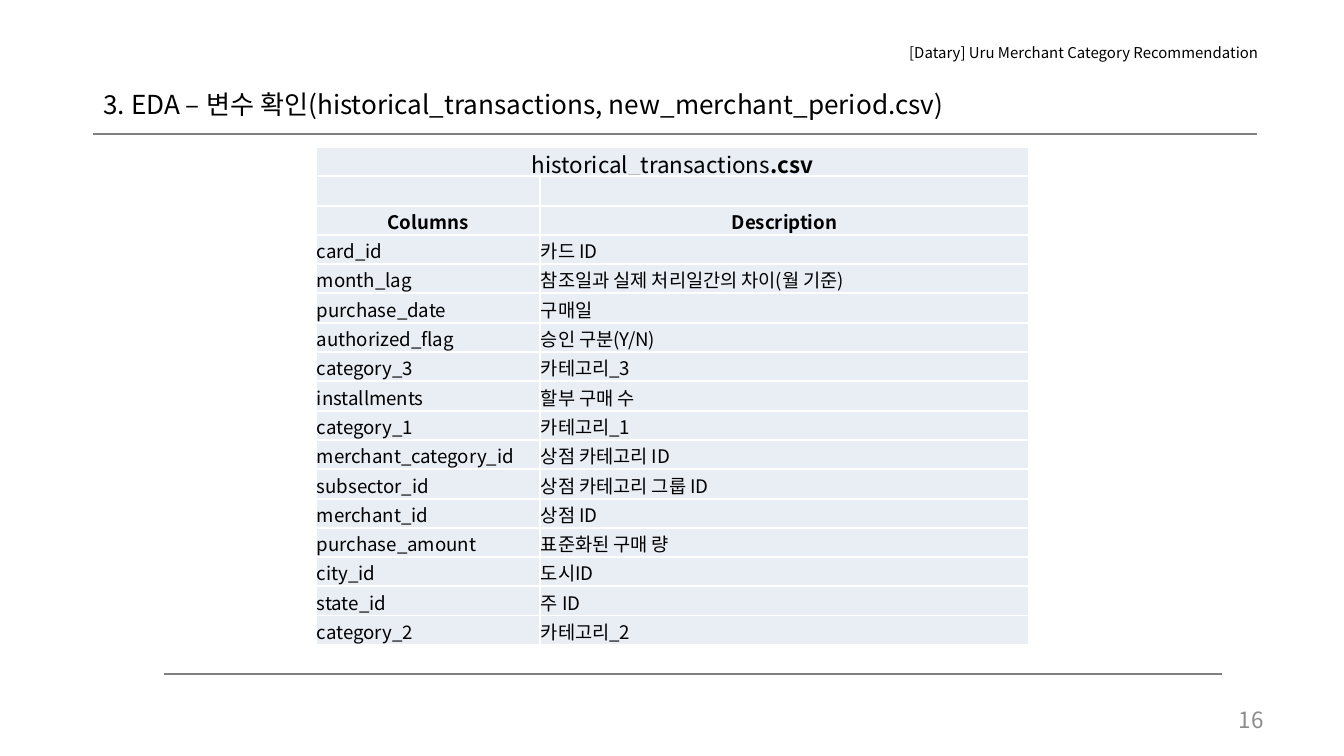
import dataclasses

import lxml.etree
import pptx
import pptx.dml.color
import pptx.enum.shapes
import pptx.enum.text
import pptx.oxml
import pptx.oxml.ns
import pptx.util

EMU_PER_PIXEL = 9144000 / 1344
ALIGN = pptx.enum.text.PP_ALIGN
ANCHOR = pptx.enum.text.MSO_ANCHOR
qn = pptx.oxml.ns.qn


@dataclasses.dataclass(frozen=True)
class Theme:
    """Colours, font and type sizes of the slide."""
    font: str = "Noto Sans CJK KR"
    ink: str = "000000"
    muted: str = "8C8C8C"
    rule: str = "808080"
    cell: str = "E9EDF4"
    border: str = "FFFFFF"
    title_size: int = 14
    caption_size: int = 12
    body_size: int = 10
    header_size: int = 8


theme = Theme()


def px(*lengths):
    """Turn pixel lengths into a list of EMU values."""
    return [pptx.util.Emu(round(length * EMU_PER_PIXEL)) for length in lengths]


def style(paragraph, size, align=ALIGN.LEFT, color=theme.ink, bold=False):
    """Align a paragraph and format all its runs."""
    paragraph.alignment = align
    for run in paragraph.runs:
        run.font.name = theme.font
        run.font.size = pptx.util.Pt(size)
        run.font.bold = bold
        run.font.color.rgb = pptx.dml.color.RGBColor.from_string(color)
        east_asian = lxml.etree.SubElement(run.font._element, qn("a:ea"))
        east_asian.set("typeface", theme.font)


presentation = pptx.Presentation()
presentation.slide_width, presentation.slide_height = px(1344, 756)
slide = presentation.slides.add_slide(presentation.slide_layouts[5])

# Title
title = slide.shapes.title
title.left, title.top, title.width, title.height = px(90, 82, 1164, 46)
title.text_frame.text = "3. EDA – 변수 확인(historical_transactions, new_merchant_period.csv)"
title.text_frame.vertical_anchor = ANCHOR.TOP
title.text_frame.word_wrap = True
title.text_frame.auto_size = pptx.enum.text.MSO_AUTO_SIZE.NONE
style(title.text_frame.paragraphs[0], theme.title_size, ALIGN.JUSTIFY)

# Page number and running header
small_texts = [
    ("16", (964, 700, 313, 40), theme.caption_size, ALIGN.RIGHT, theme.muted),
    ("[Datary] Uru Merchant Category Recommendation", (896, 26, 433, 54),
     theme.header_size, ALIGN.LEFT, theme.ink),
]
for wording, place, size, align, color in small_texts:
    label = slide.shapes.add_textbox(*px(*place)).text_frame
    label.text = wording
    label.word_wrap = True
    label.vertical_anchor = ANCHOR.MIDDLE
    style(label.paragraphs[0], size, align, color)

# Rules under the title and above the footer
for left, right, y in [(93, 1257, 134), (164, 1222, 674)]:
    rule = slide.shapes.add_connector(
        pptx.enum.shapes.MSO_CONNECTOR.STRAIGHT, *px(left, y, right, y))
    rule.line.color.rgb = pptx.dml.color.RGBColor.from_string(theme.rule)
    rule.line.width = pptx.util.Pt(1)
    lxml.etree.SubElement(rule._element.spPr, qn("a:effectLst"))

# Column descriptions
rows = [
    ("historical_transactions", ""),
    ("", ""),
    ("Columns", "Description"),
    ("card_id", "카드 ID"),
    ("month_lag", "참조일과 실제 처리일간의 차이(월 기준)"),
    ("purchase_date", "구매일"),
    ("authorized_flag", "승인 구분(Y/N)"),
    ("category_3", "카테고리_3"),
    ("installments", "할부 구매 수"),
    ("category_1", "카테고리_1"),
    ("merchant_category_id", "상점 카테고리 ID"),
    ("subsector_id", "상점 카테고리 그룹 ID"),
    ("merchant_id", "상점 ID"),
    ("purchase_amount", "표준화된 구매 량"),
    ("city_id", "도시ID"),
    ("state_id", "주 ID"),
    ("category_2", "카테고리_2"),
]
table_height = 498
dictionary = slide.shapes.add_table(
    len(rows), 2, *px(316, 147, 713, table_height)).table
dictionary.first_row = False
dictionary.horz_banding = False
dictionary.columns[0].width, dictionary.columns[1].width = px(224, 489)
edges = [round(i * table_height / len(rows)) for i in range(len(rows) + 1)]

for r, wordings in enumerate(rows):
    dictionary.rows[r].height = px(edges[r + 1] - edges[r])[0]
    for c, wording in enumerate(wordings):
        cell = dictionary.cell(r, c)
        cell.margin_left, cell.margin_right, cell.margin_top, cell.margin_bottom = px(1, 1, 1, 0)
        cell.vertical_anchor = ANCHOR.BOTTOM
        paragraph = cell.text_frame.paragraphs[0]
        if wording:
            paragraph.text = wording
            style(paragraph, theme.caption_size if r == 0 else theme.body_size,
                  ALIGN.CENTER if r < 3 else ALIGN.LEFT, bold=r == 2)
        else:
            end = lxml.etree.SubElement(paragraph._p, qn("a:endParaRPr"))
            end.set("sz", str(theme.body_size * 100))
        properties = cell._tc.get_or_add_tcPr()
        for side in ("a:lnL", "a:lnR", "a:lnT", "a:lnB"):
            border = lxml.etree.SubElement(properties, qn(side), w=str(pptx.util.Pt(1)))
            paint = lxml.etree.SubElement(border, qn("a:solidFill"))
            lxml.etree.SubElement(paint, qn("a:srgbClr"), val=theme.border)
        cell.fill.solid()
        cell.fill.fore_color.rgb = pptx.dml.color.RGBColor.from_string(theme.cell)

caption = dictionary.cell(0, 0)
caption.merge(dictionary.cell(0, 1))
caption_line = caption.text_frame.paragraphs[0]
caption_line.add_run().text = ".csv"
style(caption_line, theme.caption_size, ALIGN.CENTER)
caption_line.runs[1].font.bold = True
# Each run keeps a single East Asian typeface
for run in caption_line.runs:
    for extra in run.font._element.findall(qn("a:ea"))[1:]:
        run.font._element.remove(extra)

presentation.save("out.pptx")
